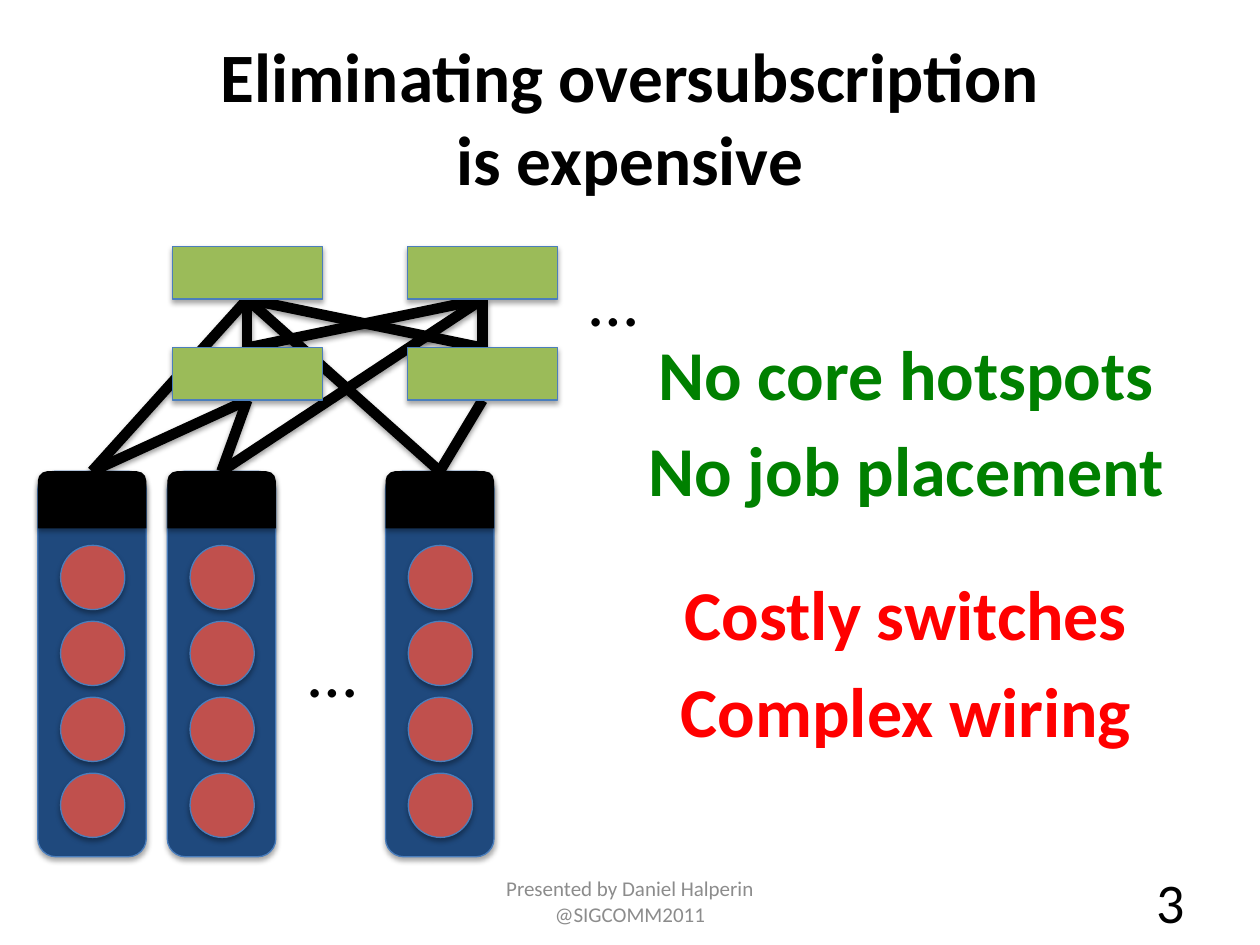
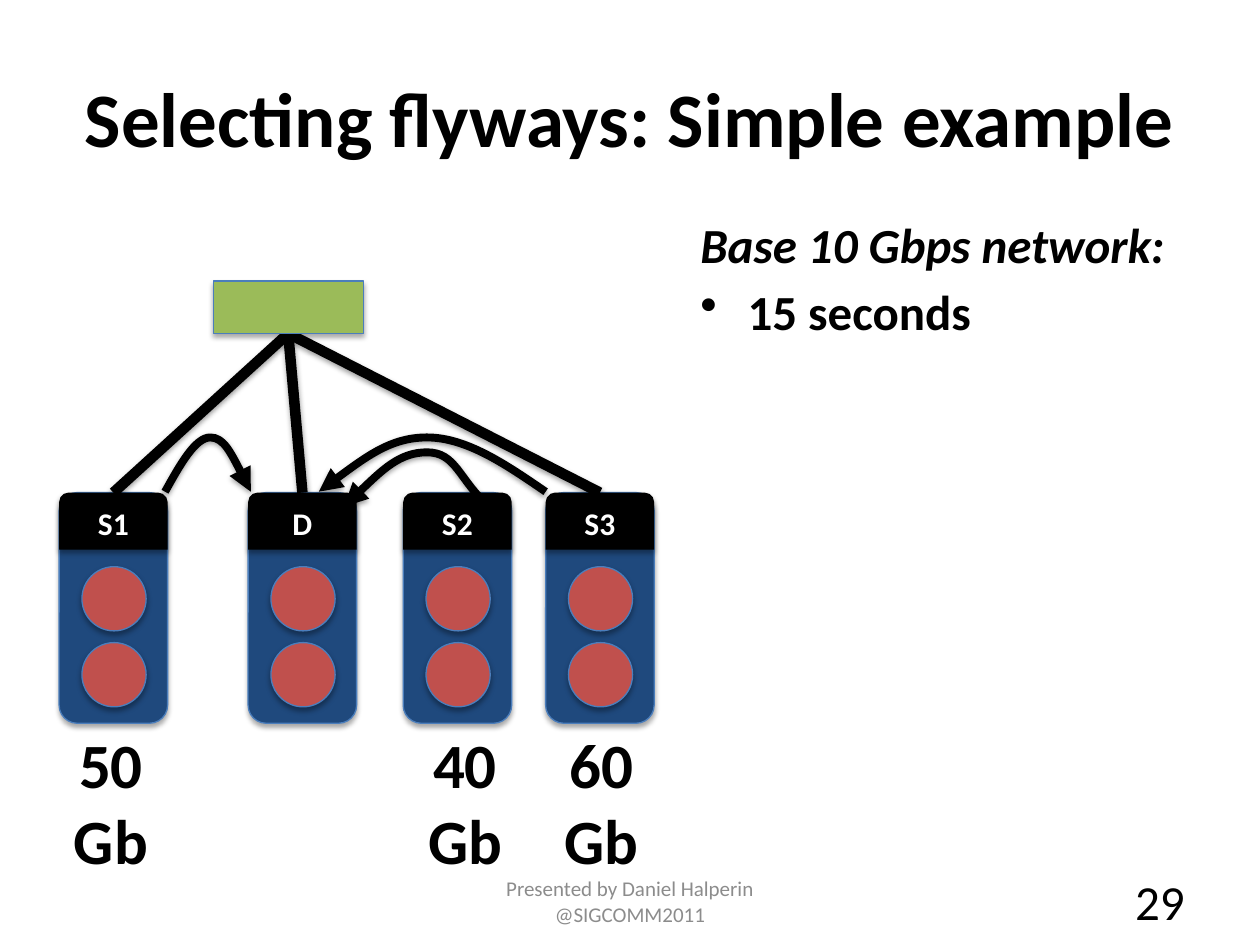
from lxml import etree
from pptx import Presentation
from pptx.dml.color import RGBColor
from pptx.enum.shapes import MSO_CONNECTOR, MSO_SHAPE
from pptx.enum.text import MSO_ANCHOR, PP_ALIGN
from pptx.oxml.ns import qn
from pptx.util import Pt

# Enum members
RECT = MSO_SHAPE.RECTANGLE
ROUND_RECT = MSO_SHAPE.ROUNDED_RECTANGLE
ROUND_TOP = MSO_SHAPE.ROUND_2_SAME_RECTANGLE
CIRCLE = MSO_SHAPE.OVAL
STRAIGHT = MSO_CONNECTOR.STRAIGHT
LEFT, CENTER, RIGHT = PP_ALIGN.LEFT, PP_ALIGN.CENTER, PP_ALIGN.RIGHT
TOP, MIDDLE = MSO_ANCHOR.TOP, MSO_ANCHOR.MIDDLE

# Colours and font
BLACK = RGBColor(0x00, 0x00, 0x00)
WHITE = RGBColor(0xFF, 0xFF, 0xFF)
GREY = RGBColor(0x8C, 0x8C, 0x8C)
RACK_BLUE = RGBColor(0x1F, 0x49, 0x7D)
EDGE_BLUE = RGBColor(0x4B, 0x7E, 0xBC)
SERVER_RED = RGBColor(0xC0, 0x50, 0x4D)
SWITCH_GREEN = RGBColor(0x9B, 0xBB, 0x59)
PRO_GREEN = RGBColor(0x00, 0x80, 0x00)
CON_RED = RGBColor(0xFF, 0x00, 0x00)
FONT = "Calibri"

# Sizes of the network parts, in points
RACK_WIDTH, HEAD_HEIGHT = 62, 32.6
SERVER_SIZE, SERVER_LEFT, SERVER_TOP, SERVER_STEP = 36.7, 13, 42.3, 43.4
SWITCH_WIDTH, SWITCH_HEIGHT = 85.8, 30
LINK_WEIGHT, FLOW_WEIGHT = 6, 4.5


def write(para, text, size, color=BLACK, align=LEFT, **styles):
    """Fill a paragraph; a vertical tab in the text is a line break."""
    para.text = text
    para.alignment = align
    formats = {"name": FONT, "size": Pt(size), **styles}
    for span in para.runs:
        for name, value in formats.items():
            setattr(span.font, name, value)
        span.font.color.rgb = color


def add_text(page, area, lines, anchor=TOP, wrap=True):
    """Each line is a dict of arguments for write(), plus space and bullet."""
    box = page.shapes.add_textbox(*map(Pt, area))
    frame = box.text_frame
    frame.word_wrap = wrap
    frame.vertical_anchor = anchor
    for index, line in enumerate(lines):
        formats = dict(line)
        space = formats.pop("space", 0)
        bullet = formats.pop("bullet", None)
        para = frame.add_paragraph() if index else frame.paragraphs[0]
        if space:
            para.space_before = Pt(space)
        if bullet:
            add_bullet(para, bullet, 27)
        write(para, **formats)


def add_bullet(para, symbol, indent):
    props = para._p.get_or_add_pPr()
    props.set("marL", str(Pt(indent)))
    props.set("indent", str(-Pt(indent)))
    etree.SubElement(props, qn("a:buChar"), char=symbol)


def add_shadow(shape, distance, opacity):
    """Soft shadow straight below; call after fill and line are set."""
    effects = etree.SubElement(shape._element.spPr, qn("a:effectLst"))
    shadow = etree.SubElement(effects, qn("a:outerShdw"), blurRad=str(Pt(3.1)),
                              dist=str(Pt(distance)), dir="5400000", rotWithShape="0")
    color = etree.SubElement(shadow, qn("a:srgbClr"), val=str(BLACK))
    etree.SubElement(color, qn("a:alpha"), val=str(opacity * 1000))


def add_block(parent, kind, area, fill, edge=EDGE_BLUE):
    block = parent.shapes.add_shape(kind, *map(Pt, area))
    block.fill.solid()
    block.fill.fore_color.rgb = fill
    if edge is None:
        block.line.fill.background()
    else:
        block.line.color.rgb = edge
        block.line.width = Pt(0.75)
    add_shadow(block, 1.8, 35)
    return block


def add_rack(page, left, top, height, servers, label=None):
    """Draw a rack of servers; return the middle of its top edge."""
    group = page.shapes.add_group_shape()
    add_block(group, ROUND_RECT, (left, top, RACK_WIDTH, height), RACK_BLUE)
    head = add_block(group, ROUND_TOP, (left, top, RACK_WIDTH, HEAD_HEIGHT), BLACK, None)
    if label:
        head.text_frame.vertical_anchor = MIDDLE
        write(head.text_frame.paragraphs[0], label, 18, WHITE, CENTER, bold=True)
    for index in range(servers):
        y = top + SERVER_TOP + index * SERVER_STEP
        add_block(group, CIRCLE, (left + SERVER_LEFT, y, SERVER_SIZE, SERVER_SIZE), SERVER_RED)
    return left + RACK_WIDTH / 2, top


def add_switch(page, left, top):
    add_block(page, RECT, (left, top, SWITCH_WIDTH, SWITCH_HEIGHT), SWITCH_GREEN)


def below_switch(left, top):
    return left + SWITCH_WIDTH / 2, top + SWITCH_HEIGHT


def style_line(line, weight):
    line.color.rgb = BLACK
    line.width = Pt(weight)


def add_link(page, start, end):
    link = page.shapes.add_connector(STRAIGHT, *map(Pt, (*start, *end)))
    style_line(link.line, LINK_WEIGHT)
    add_shadow(link, 1.6, 38)


def add_flow(page, x_start, x_peak, x_end, y_base, rise=31, bend=(1 / 3, 2 / 3)):
    """Curved arrow over the racks; bend sets how fast it climbs to its peak."""
    y_peak, y_half = y_base - rise, y_base - rise / 2
    climb, fall = x_peak - x_start, x_end - x_peak
    points = [(x_start + climb * bend[0], y_half), (x_start + climb * bend[1], y_peak),
              (x_peak, y_peak),
              (x_peak + fall / 3, y_peak), (x_peak + fall * 2 / 3, y_half),
              (x_end, y_base)]
    builder = page.shapes.build_freeform(Pt(x_start), Pt(y_base))
    builder.add_line_segments([(Pt(x), Pt(y)) for x, y in points], close=False)
    flow = builder.convert_to_shape()

    # Join each three straight segments into one Bezier segment
    segments = list(flow._element.iter(qn("a:lnTo")))
    for first in range(0, len(segments), 3):
        curve = etree.Element(qn("a:cubicBezTo"))
        segments[first].addprevious(curve)
        for segment in segments[first:first + 3]:
            curve.append(segment[0])
            segment.getparent().remove(segment)

    flow.fill.background()
    style_line(flow.line, FLOW_WEIGHT)
    etree.SubElement(flow.line._get_or_add_ln(), qn("a:tailEnd"), type="triangle")
    add_shadow(flow, 1.6, 38)


def add_page(deck, title, title_size, number, number_size):
    """Blank page with the shared title, footer and page number."""
    page = deck.slides.add_slide(deck.slide_layouts[6])
    add_text(page, (36, 21.6, 648, 90),
             [dict(text=title, size=title_size, align=CENTER, bold=True)], MIDDLE)
    add_text(page, (246, 500.5, 228, 28.8),
             [dict(text="Presented by Daniel Halperin @SIGCOMM2011", size=12,
                   color=GREY, align=CENTER)], MIDDLE)
    add_text(page, (516, 500.5, 168, 28.8),
             [dict(text=number, size=number_size, align=RIGHT)], MIDDLE)
    return page


def build_cost_page(deck):
    page = add_page(deck, "Eliminating oversubscription\vis expensive", 39.6, "3", 32)

    # Benefits and drawbacks
    points = [("No core hotspots", PRO_GREEN, 0), ("No job placement", PRO_GREEN, 7),
              ("Costly switches", CON_RED, 34.5), ("Complex wiring", CON_RED, 7)]
    add_text(page, (351.4, 116, 332.6, 386),
             [dict(text=text, size=40, color=color, align=CENTER, bold=True, space=space)
              for text, color, space in points], MIDDLE)

    # Racks
    racks = [add_rack(page, left, 269.3, 220.3, 4) for left in (21.6, 95.6, 220.3)]

    # Links between two layers of switches, and down to the racks
    switch_lefts, upper_top, lower_top = (98.4, 232.8), 141, 198.7
    upper = [below_switch(left, upper_top) for left in switch_lefts]
    lower = [below_switch(left, lower_top) for left in switch_lefts]
    for x, _ in lower:
        for end in upper:
            add_link(page, (x, lower_top), end)
    for rack, switches in zip(racks, [(lower[0], upper[0]), (lower[0], upper[1]),
                                      (lower[1], upper[0])]):
        for switch in switches:
            add_link(page, rack, switch)
    for left in switch_lefts:
        for top in (upper_top, lower_top):
            add_switch(page, left, top)

    # More racks and switches
    for left, top in ((169.2, 355), (329.8, 143.3)):
        add_text(page, (left, top, 42.5, 55.4), [dict(text="…", size=40)], wrap=False)


def build_flyway_page(deck):
    page = add_page(deck, "Selecting flyways: Simple example", 44, "29", 28)
    add_text(page, (393.1, 118.8, 308.9, 356.4), [
        dict(text="Base 10 Gbps network:", size=28, bold=True, italic=True),
        dict(text="15 seconds", size=28, bold=True, space=5, bullet="•")])

    # Racks with the load that each one sends
    rack_top = 281.5
    racks = {"S1": (33.8, 24.5, "50"), "D": (141.8, None, None),
             "S2": (230.4, 226.8, "40"), "S3": (311.8, 304.6, "60")}
    tops = {}
    for label, (left, load_left, load) in racks.items():
        tops[label] = add_rack(page, left, rack_top, 131.8, 2, label)
        if load:
            add_text(page, (load_left, 411, 77.8, 94.3),
                     [dict(text=text, size=36, align=CENTER, bold=True)
                      for text in (load, "Gb")])

    # Switch and its links
    switch = (121.8, 160.6)
    for label in ("S1", "D", "S3"):
        add_link(page, tops[label], below_switch(*switch))
    add_switch(page, *switch)

    # Flows into D
    add_flow(page, 94.3, 120.2, 143.3, 281)
    add_flow(page, 311.8, 244, 182.2, 281)
    add_flow(page, 279.4, 244, 196.6, 289.5, bend=(0.49, 0.53))


def main():
    deck = Presentation()
    deck.slide_width, deck.slide_height = Pt(720), Pt(540)
    build_cost_page(deck)
    build_flyway_page(deck)
    deck.save("out.pptx")


if __name__ == "__main__":
    main()
